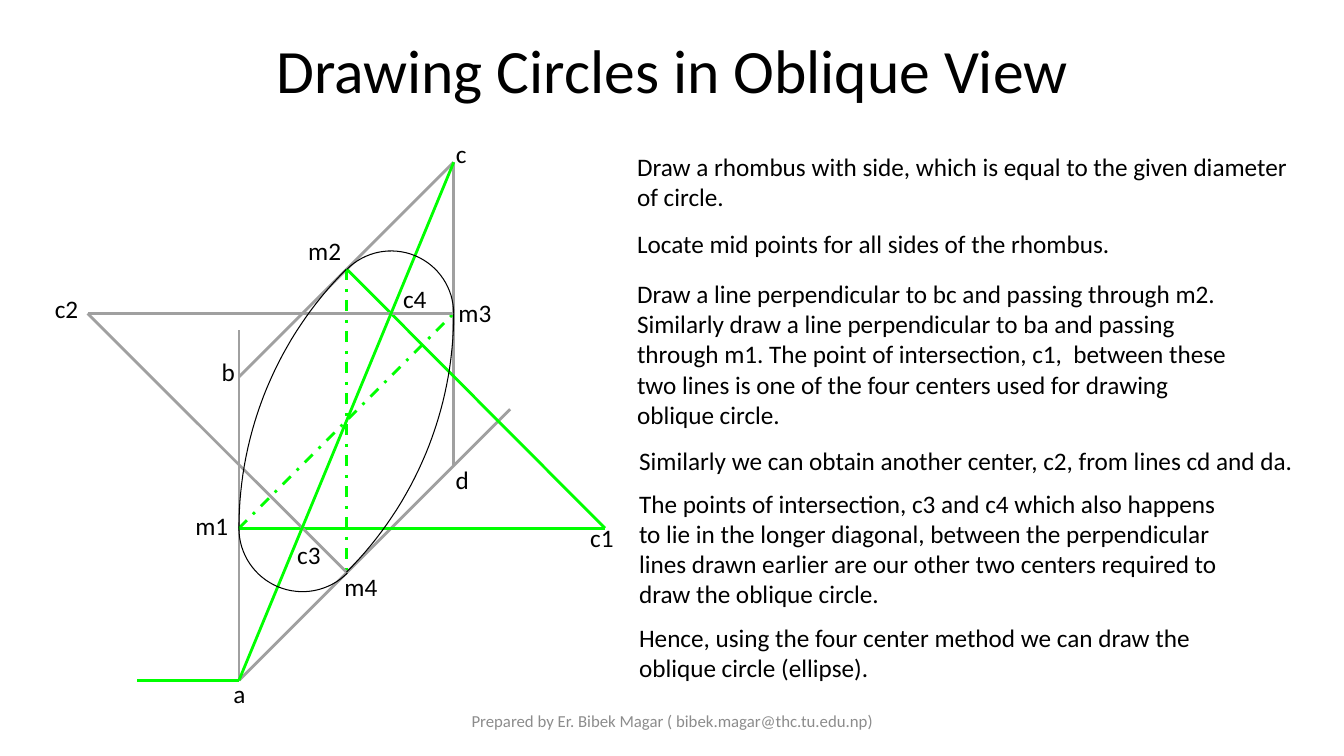
from dataclasses import dataclass
from math import cos, hypot, radians, sin

from lxml.etree import SubElement
from pptx import Presentation
from pptx.dml.color import RGBColor
from pptx.enum.dml import MSO_LINE
from pptx.enum.shapes import MSO_CONNECTOR
from pptx.enum.text import MSO_ANCHOR, MSO_AUTO_SIZE, PP_ALIGN
from pptx.oxml.ns import qn
from pptx.slide import Slide
from pptx.text.text import TextFrame
from pptx.util import Emu, Pt

EMU_PER_PX = 9144
FONT = "Calibri"
BLACK, GREEN, GREY, FOOTER_GREY = "000000", "00FF00", "A0A0A0", "8C8C8C"
ARC_STEPS = 32

POINTS = {
    "a": (237, 675), "b": (237, 374), "c": (450, 161), "d": (450, 462),
    "m1": (237, 524), "m2": (344, 267), "m3": (450, 311), "m4": (344, 568),
    "c1": (600, 524), "c2": (87, 311), "c3": (300, 524), "c4": (388, 311),
    "base start": (136, 675), "ab end": (237, 327), "ad end": (506, 406),
}


@dataclass(frozen=True)
class Line:
    start: str
    end: str
    color: str
    dashed: bool = False


@dataclass(frozen=True)
class Arc:
    center: str
    start: str
    first_angle: int
    last_angle: int


@dataclass(frozen=True)
class TextBox:
    text: str
    left: int
    top: int
    width: int
    height: int = 40
    size: int = 18
    color: str = BLACK
    align: PP_ALIGN = PP_ALIGN.LEFT
    anchor: MSO_ANCHOR = MSO_ANCHOR.TOP
    wrap: bool = True
    grow: bool = True


def label(text: str, left: int, top: int, width: int,
          align: PP_ALIGN = PP_ALIGN.CENTER) -> TextBox:
    return TextBox(text, left, top, width, align=align, wrap=False)


LINES = [
    Line("base start", "a", GREEN),
    Line("a", "ab end", GREY),
    Line("a", "ad end", GREY),
    Line("b", "c", GREY),
    Line("c", "d", GREY),
    Line("m1", "m3", GREEN, dashed=True),
    Line("m2", "m4", GREEN, dashed=True),
    Line("m2", "c1", GREEN),
    Line("m1", "c1", GREEN),
    Line("m3", "c2", GREY),
    Line("m4", "c2", GREY),
    Line("a", "c", GREEN),
]

ARCS = [
    Arc("c1", "m1", 180, 225),
    Arc("c2", "m3", 0, 45),
    Arc("c4", "m3", 0, -135),
    Arc("c3", "m1", 180, 45),
]

LABELS = [
    label("a", 217, 668, 41),
    label("b", 206, 349, 41),
    label("c", 437, 132, 41),
    label("d", 438, 456, 41),
    label("m1", 183, 501, 54),
    label("m2", 295, 229, 54),
    label("m3", 444, 290, 54),
    label("m4", 331, 562, 54),
    label("c1", 570, 513, 54),
    label("c2", 44, 286, 44),
    label("c3", 285, 530, 43, PP_ALIGN.LEFT),
    label("c4", 390, 276, 43, PP_ALIGN.LEFT),
]

STEPS = [
    TextBox("Draw a rhombus with side, which is equal to the given diameter "
            "of circle.", 622, 145, 673, 71),
    TextBox("Locate mid points for all sides of the rhombus.", 622, 222, 649),
    TextBox("Draw a line perpendicular to bc and passing through m2. Similarly "
            "draw a line perpendicular to ba and passing through m1. The point "
            "of intersection, c1,  between these two lines is one of the four "
            "centers used for drawing oblique circle.", 622, 271, 624, 162),
    TextBox("Similarly we can obtain another center, c2, from lines cd and da.",
            624, 437, 672),
    TextBox("The points of intersection, c3 and c4 which also happens to lie in "
            "the longer diagonal, between the perpendicular lines drawn earlier "
            "are our other two centers required to draw the oblique circle.",
            624, 479, 606, 131),
    TextBox("Hence, using the four center method we can draw the oblique circle "
            "(ellipse).", 624, 612, 603, 71),
]

FOOTER = TextBox("Prepared by Er. Bibek Magar ( bibek.magar@thc.tu.edu.np)",
                 442, 695, 450, size=12, color=FOOTER_GREY,
                 align=PP_ALIGN.CENTER, anchor=MSO_ANCHOR.MIDDLE, grow=False)


def px(length: float) -> Emu:
    return Emu(round(length * EMU_PER_PX))


def rgb(color: str) -> RGBColor:
    return RGBColor.from_string(color)


def write_text(frame: TextFrame, text: str, size: int, color: str,
               align: PP_ALIGN, anchor: MSO_ANCHOR) -> None:
    frame.text = text
    frame.vertical_anchor = anchor
    paragraph = frame.paragraphs[0]
    paragraph.alignment = align
    font = paragraph.runs[0].font
    font.name = FONT
    font.size = Pt(size)
    font.color.rgb = rgb(color)


def add_title(slide: Slide) -> None:
    title = slide.shapes.title
    title.left, title.top, title.width, title.height = map(px, (92, 0, 1150, 145))
    write_text(title.text_frame, "Drawing Circles in Oblique View", 44, BLACK,
               PP_ALIGN.CENTER, MSO_ANCHOR.MIDDLE)
    title.text_frame.paragraphs[0].line_spacing = 0.9


def add_line(slide: Slide, line: Line) -> None:
    ends = map(px, POINTS[line.start] + POINTS[line.end])
    connector = slide.shapes.add_connector(MSO_CONNECTOR.STRAIGHT, *ends)
    connector.line.color.rgb = rgb(line.color)
    connector.line.width = Pt(0)
    if line.dashed:
        connector.line.dash_style = MSO_LINE.DASH_DOT
    SubElement(connector._element.spPr, qn("a:effectLst"))


def add_arc(slide: Slide, arc: Arc) -> None:
    center_x, center_y = POINTS[arc.center]
    start_x, start_y = POINTS[arc.start]
    radius = hypot(start_x - center_x, start_y - center_y)
    sweep = arc.last_angle - arc.first_angle
    angles = [radians(arc.first_angle + sweep * step / ARC_STEPS)
              for step in range(ARC_STEPS + 1)]
    points = [(px(center_x + radius * cos(angle)), px(center_y + radius * sin(angle)))
              for angle in angles]
    builder = slide.shapes.build_freeform(*points[0])
    builder.add_line_segments(points[1:], close=False)
    shape = builder.convert_to_shape()
    shape.shadow.inherit = False
    shape.fill.background()
    shape.line.color.rgb = rgb(BLACK)
    shape.line.width = Pt(0)


def add_text_box(slide: Slide, box: TextBox) -> None:
    shape = slide.shapes.add_textbox(
        px(box.left), px(box.top), px(box.width), px(box.height))
    frame = shape.text_frame
    frame.word_wrap = box.wrap
    frame.auto_size = MSO_AUTO_SIZE.SHAPE_TO_FIT_TEXT if box.grow else MSO_AUTO_SIZE.NONE
    write_text(frame, box.text, box.size, box.color, box.align, box.anchor)


def main() -> None:
    presentation = Presentation()
    presentation.slide_width = px(1333)
    presentation.slide_height = px(750)
    slide = presentation.slides.add_slide(presentation.slide_layouts[5])
    add_title(slide)
    for line in LINES:
        add_line(slide, line)
    for arc in ARCS:
        add_arc(slide, arc)
    for box in [*LABELS, *STEPS, FOOTER]:
        add_text_box(slide, box)
    presentation.save("out.pptx")


if __name__ == "__main__":
    main()
